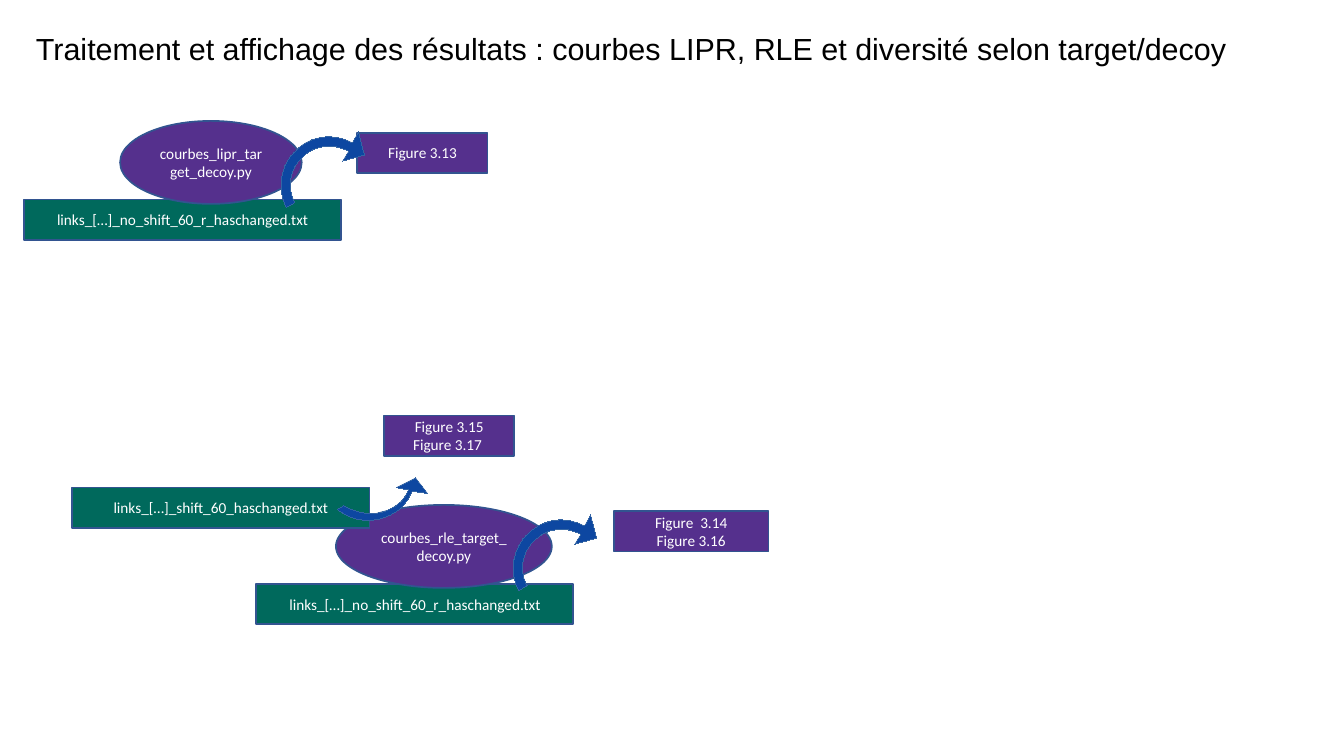
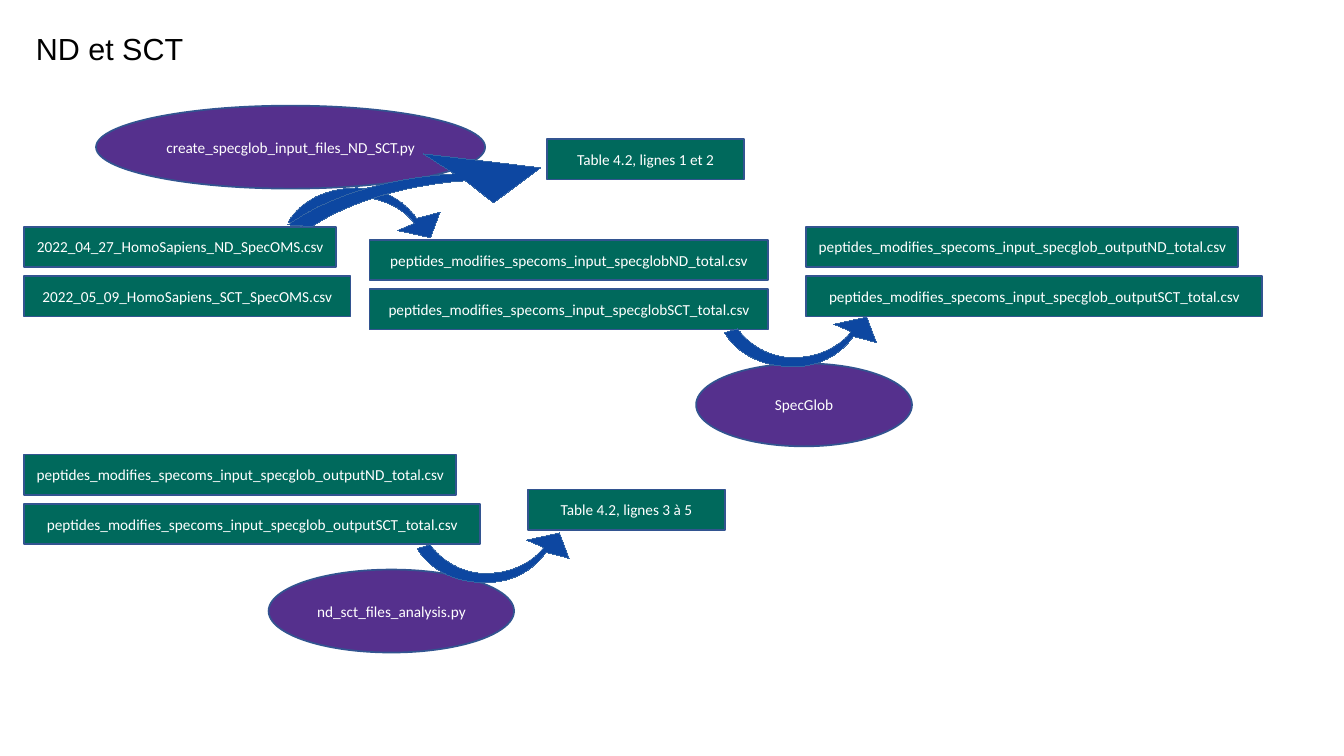
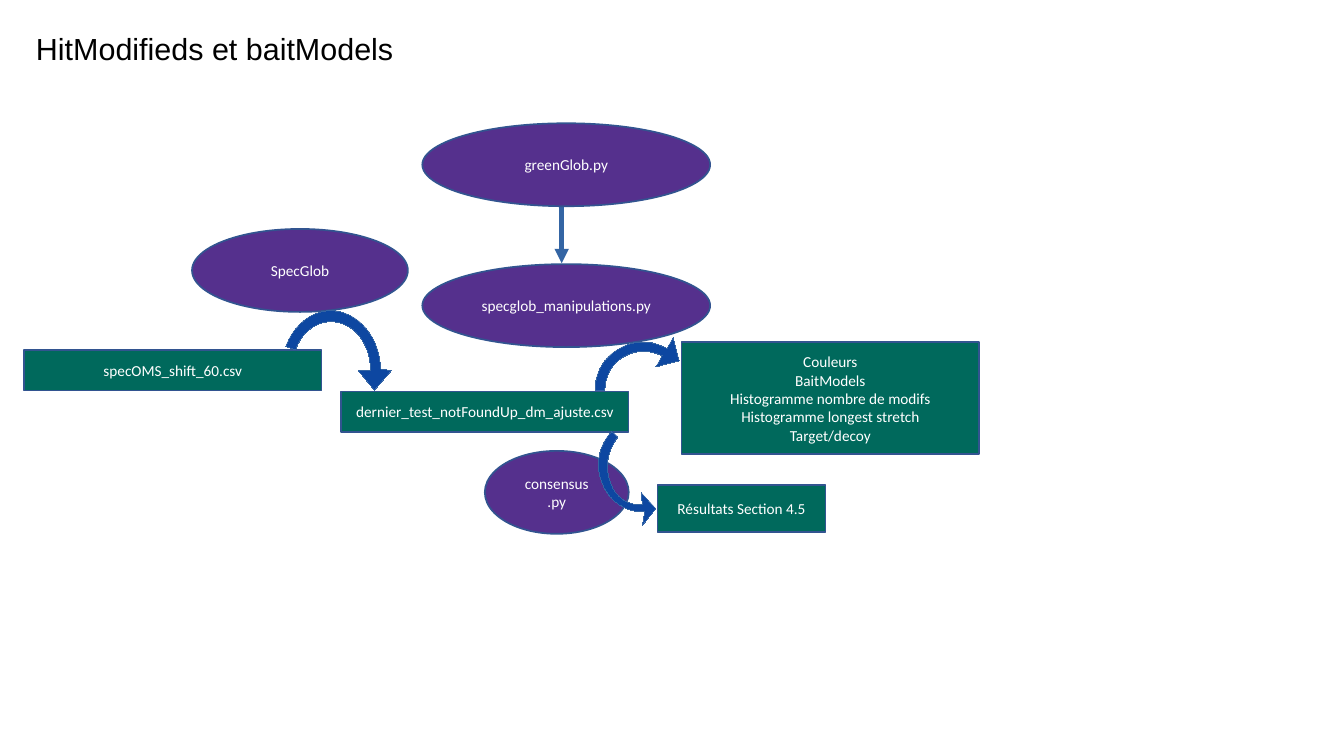
from dataclasses import dataclass
from lxml import etree
from pptx import Presentation
from pptx.dml.color import RGBColor
from pptx.enum import shapes, text
from pptx.oxml import ns
from pptx.util import Pt


@dataclass(frozen=True)
class Theme:
    data: RGBColor = RGBColor.from_string("00695C")
    script: RGBColor = RGBColor.from_string("55308D")
    border: RGBColor = RGBColor.from_string("325490")
    arrow: RGBColor = RGBColor.from_string("0D47A1")
    link: RGBColor = RGBColor.from_string("3465A4")
    title: RGBColor = RGBColor.from_string("000000")
    label: RGBColor = RGBColor.from_string("FFFFFF")
    title_font: str = "Arial"
    label_font: str = "Calibri"
    title_size: int = 18
    label_size: int = 9


theme = Theme()
RECT = shapes.MSO_SHAPE.RECTANGLE
OVAL = shapes.MSO_SHAPE.OVAL
MARGIN = 14.17
ROW = 23.8
PITCH = 29.2
OVAL_HEIGHT = 49
HAIRLINE = 0.01

HOOK_RIGHT = [
    (-9.4, -5, -20.2, -3.6, -27.4, 3.6), (-34.6, 10.1, -36.7, 21.6, -31.7, 30.2),
    (-36.7, 33.1),
    (-42.5, 21.6, -40.3, 7.9, -31, -0.7), (-22.3, -9.4, -8.6, -10.8, 2.2, -5),
    (5.8, -11.5), (9.4, 2.2), (-3.6, 5.8),
]
SWING_UP = [
    (-2.2, 5.8, -7.9, 10.8, -15.1, 13), (-22.3, 15.1, -30.2, 13.7, -38.2, 9.2),
    (-42, 11.5),
    (-34, 17.3, -26, 19.5, -16.5, 17), (-7.2, 14.4, -0.7, 8.5, 2.2, 0.7),
    (11.5, 2.2), (4.3, -7.2), (-7.2, -1.4),
]
ARCH_UNDER = [
    (-7.2, 9.4, -20.2, 15.4, -34, 15.4), (-46.8, 15.4, -59, 9, -67, -1.7),
    (-74.7, 0.7),
    (-67, 13.5, -52, 20.8, -34, 20.8), (-19, 20.8, -6.5, 14, 1.4, 2.9),
    (15.1, 6.5), (9.4, -8.6), (-10.1, -4.3),
]
ARCH_OVER = [
    tuple(-value if index % 2 else value for index, value in enumerate(segment))
    for segment in ARCH_UNDER
]
LONG_SWEEP = [
    (-36.6, 2.4, -69.6, 13, -90.9, 27.1), (-105, 26),
    (-80.3, 8.3, -44.9, -1.8, -6.5, -4.1),
    (-24.8, -15.9), (44.3, -7.7), (16.5, 13),
]
ARCH_DOWN = [
    (0, -16, -10, -28.9, -23.6, -28.9), (-33, -28.9, -41, -22, -44.3, -12.4),
    (-50.2, -14.2),
    (-45.5, -27, -35, -35.4, -23.6, -35.4), (-7, -35.4, 5.8, -19, 5.8, -1),
    (12.2, 0), (2.2, 11.5), (-7.2, 0),
]
RISE_RIGHT = [
    (-7.2, -3.6, -15.8, -3.6, -23, 0.7), (-29.5, 4.3, -33.8, 12.2, -33.8, 20.2),
    (-39.6, 20.2),
    (-39.6, 10.1, -34.6, 0.7, -25.2, -4.3), (-16.6, -9.4, -5.8, -9.4, 2.9, -4.3),
    (6.5, -10.8), (10.1, 2.9), (-3.6, 6.5),
]
DROP_RIGHT = [
    (-7.9, 0.7, -15.8, -4.3, -18.7, -13), (-22.3, -21.6, -20.9, -31.7, -14.5, -40),
    (-18, -43.5),
    (-26, -35, -28.5, -23, -23, -11), (-18, -0.5, -8, 4.7, 1.4, 4.1),
    (0, 12.2), (7.9, 2.2), (-0.7, -7.2),
]


def add_node(slide, kind, fill, left, top, width, height, *lines):
    shape = slide.shapes.add_shape(kind, Pt(left), Pt(top), Pt(width), Pt(height))
    shape.shadow.inherit = False
    shape.fill.solid()
    shape.fill.fore_color.rgb = fill
    shape.line.color.rgb = theme.border
    shape.line.width = Pt(0.99)
    frame = shape.text_frame
    frame.word_wrap = kind == OVAL
    frame.vertical_anchor = text.MSO_ANCHOR.MIDDLE
    for index, line in enumerate(lines):
        paragraph = frame.add_paragraph() if index else frame.paragraphs[0]
        paragraph.alignment = text.PP_ALIGN.CENTER
        run = paragraph.add_run()
        run.text = line
        run.font.name = theme.label_font
        run.font.size = Pt(theme.label_size)
        run.font.color.rgb = theme.label


def add_arrow(slide, outline, left, top, frame=None):
    points = [pair for segment in outline for pair in zip(segment[::2], segment[1::2])]
    builder = slide.shapes.build_freeform(Pt(left), Pt(top))
    builder.add_line_segments([(Pt(left + x), Pt(top + y)) for x, y in points], close=True)
    shape = builder.convert_to_shape()
    shape.shadow.inherit = False
    shape.fill.solid()
    shape.fill.fore_color.rgb = theme.arrow
    shape.line.color.rgb = theme.link
    shape.line.width = Pt(HAIRLINE)
    contour = shape._element.find(".//" + ns.qn("a:path"))
    corners = iter(contour.findall(ns.qn("a:lnTo")))
    for segment in outline:
        group = [next(corners) for _ in segment[::2]]
        if len(group) == 3:
            curve = etree.Element(ns.qn("a:cubicBezTo"))
            group[0].addprevious(curve)
            for corner in group:
                curve.append(corner[0])
                contour.remove(corner)
    if frame:
        shape.width, shape.height = Pt(frame[0]), Pt(frame[1])
        contour.set("w", str(shape.width))
        contour.set("h", str(shape.height))


presentation = Presentation()
presentation.slide_width = Pt(793.7)
presentation.slide_height = Pt(446.5)

slides = []
for title in (
    "Traitement et affichage des résultats\u00a0: courbes LIPR, RLE et diversité selon target/decoy ",
    "ND et SCT",
    "HitModifieds et baitModels",
):
    slide = presentation.slides.add_slide(presentation.slide_layouts[6])
    box = slide.shapes.add_textbox(Pt(MARGIN), Pt(MARGIN), Pt(765.4), Pt(47.5))
    box.text_frame.word_wrap = True
    run = box.text_frame.paragraphs[0].add_run()
    run.text = title
    run.font.name = theme.title_font
    run.font.size = Pt(theme.title_size)
    run.font.color.rgb = theme.title
    slides.append(slide)
curves, nd_sct, models = slides

no_shift = "links_[…]_no_shift_60_r_haschanged.txt"
add_node(curves, RECT, theme.data, MARGIN, 117.9, 187.2, ROW, no_shift)
add_node(curves, OVAL, theme.script, 70.9, 71.4, 107.3, OVAL_HEIGHT, "courbes_lipr_target_decoy.py")
add_node(curves, RECT, theme.script, 211, 78.4, 77, ROW, "Figure 3.13")
add_arrow(curves, HOOK_RIGHT, 205.9, 89.3)
add_node(curves, RECT, theme.data, 151.4, 344.8, 187.2, ROW, no_shift)
add_node(curves, OVAL, theme.script, 198.4, 298.2, 127.5, OVAL_HEIGHT, "courbes_rle_target_decoy.py")
add_node(curves, RECT, theme.script, 362.5, 302, 91.4, ROW, "Figure  3.14", "Figure 3.16")
add_node(curves, RECT, theme.script, 226.8, 245.4, 77, ROW, "Figure 3.15", "Figure 3.17 ")
add_arrow(curves, HOOK_RIGHT, 343, 315.6)
add_node(curves, RECT, theme.data, 42.5, 288, 175.7, ROW, "links_[…]_shift_60_haschanged.txt")
add_arrow(curves, SWING_UP, 241.2, 289.4)

add_node(nd_sct, OVAL, theme.script, 411.1, 214.6, 127.5, OVAL_HEIGHT, "SpecGlob")
add_node(nd_sct, RECT, theme.data, MARGIN, 133.9, 184.3, ROW, "2022_04_27_HomoSapiens_ND_SpecOMS.csv")
add_arrow(nd_sct, ARCH_OVER, 244.8, 131.8)
add_node(nd_sct, OVAL, theme.script, 56.7, 62.4, 229.8, OVAL_HEIGHT, "create_specglob_input_files_ND_SCT.py")
add_node(nd_sct, RECT, theme.data, MARGIN, 133.9 + PITCH, 192.8, ROW, "2022_05_09_HomoSapiens_SCT_SpecOMS.csv")
for row, sample in enumerate(("ND", "SCT")):
    add_node(nd_sct, RECT, theme.data, 218.2, 141.7 + PITCH * row, 235.4, ROW,
             f"peptides_modifies_specoms_input_specglob{sample}_total.csv")
add_arrow(nd_sct, ARCH_UNDER, 502.6, 195.8)
for left, top in ((476.1, 133.9), (MARGIN, 268.4)):
    for row, (sample, width) in enumerate((("ND", 255.1), ("SCT", 269.3))):
        add_node(nd_sct, RECT, theme.data, left, top + PITCH * row, width, ROW,
                 f"peptides_modifies_specoms_input_specglob_output{sample}_total.csv")
add_node(nd_sct, OVAL, theme.script, 158.6, 336.4, 145, OVAL_HEIGHT, "nd_sct_files_analysis.py")
add_arrow(nd_sct, LONG_SWEEP, 275, 106.8, (368.6, 108))
add_node(nd_sct, RECT, theme.data, 323.1, 82.2, 116.2, ROW, "Table 4.2, lignes 1 et 2")
add_arrow(nd_sct, ARCH_UNDER, 321.1, 323.3)
add_node(nd_sct, RECT, theme.data, 311.8, 289.2, 116.2, ROW, "Table 4.2, lignes 3 à 5")

add_node(models, OVAL, theme.script, 113.4, 135.2, 127.5, OVAL_HEIGHT, "SpecGlob")
add_node(models, RECT, theme.data, MARGIN, 206.9, 175.7, ROW, "specOMS_shift_60.csv")
add_arrow(models, ARCH_DOWN, 218.9, 218.9)
add_node(models, RECT, theme.data, 201.3, 231.3, 170, ROW, "dernier_test_notFoundUp_dm_ajuste.csv")
add_node(models, OVAL, theme.script, 249.4, 156, 170, OVAL_HEIGHT, "specglob_manipulations.py")
link = models.shapes.add_connector(
    shapes.MSO_CONNECTOR.STRAIGHT, Pt(331.7), Pt(121.7), Pt(331.7), Pt(155.5))
link.line.color.rgb = theme.link
link.line.width = Pt(2.83)
stroke = link._element.spPr.find(ns.qn("a:ln"))
etree.SubElement(stroke, ns.qn("a:tailEnd"), type="triangle")
etree.SubElement(link._element.spPr, ns.qn("a:effectLst"))
add_arrow(models, RISE_RIGHT, 391, 210.2)
add_node(models, OVAL, theme.script, 249.4, 72.8, 170, OVAL_HEIGHT, "greenGlob.py")
add_node(models, RECT, theme.data, 402.5, 202.1, 175.7, 66.2,
         "Couleurs", "BaitModels", "Histogramme nombre de modifs",
         "Histogramme longest stretch", "Target/decoy")
add_node(models, OVAL, theme.script, 286.3, 266.3, 85, OVAL_HEIGHT, "consensus", ".py")
add_arrow(models, DROP_RIGHT, 379.4, 298.1)
add_node(models, RECT, theme.data, 388.3, 286.4, 99.2, 28, "Résultats Section 4.5")

presentation.save("out.pptx")
